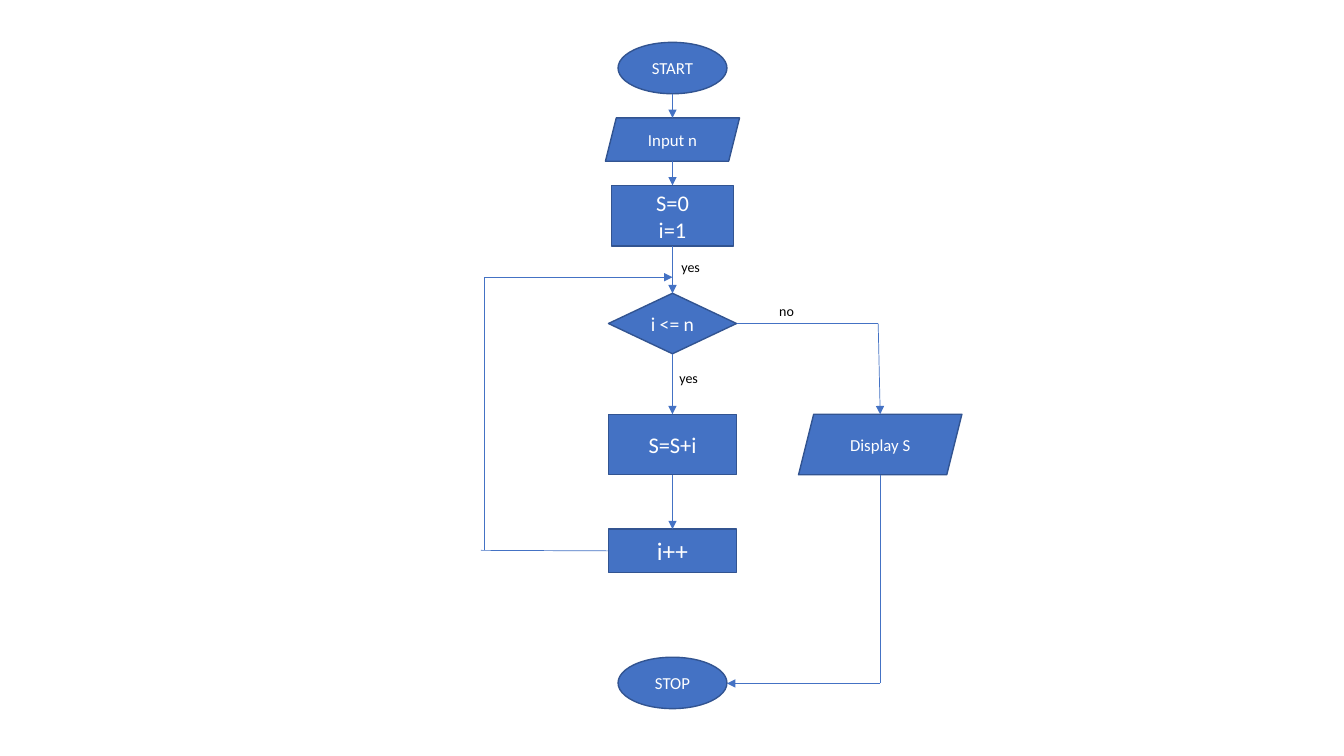
"""Build a flowchart slide that sums the integers from 1 to n."""
from pptx import Presentation
from pptx.dml.color import RGBColor
from pptx.enum import shapes, text
from pptx.oxml import ns, xmlchemy
from pptx.util import Inches, Pt

COLORS = {"fill": "4472C4", "outline": "325491", "light": "FFFFFF", "dark": "000000"}
FONT = "Calibri"
MAIN_X, DISPLAY_X, LOOP_X = 6.67, 8.73, 4.8
LOOP_Y, TEST_Y, COUNT_Y, STOP_Y = 2.75, 3.21, 5.46, 6.78
KIND = shapes.MSO_SHAPE
TOP, LEFT, BOTTOM, RIGHT = range(4)


def color(name):
    return RGBColor.from_string(COLORS[name])


def write(frame, content, size, ink, alignment):
    frame.text = content
    for paragraph in frame.paragraphs:
        paragraph.alignment = alignment
        paragraph.font.name = FONT
        paragraph.font.size = Pt(size)
        paragraph.font.color.rgb = color(ink)


def add_node(slide, kind, content, center_x, top, width, height, size):
    shape = slide.shapes.add_shape(
        kind, Inches(center_x - width / 2), Inches(top), Inches(width), Inches(height))
    shape.shadow.inherit = False
    shape.fill.solid()
    shape.fill.fore_color.rgb = color("fill")
    shape.line.color.rgb = color("outline")
    shape.line.width = Pt(1)
    shape.text_frame.vertical_anchor = text.MSO_ANCHOR.MIDDLE
    write(shape.text_frame, content, size, "light", text.PP_ALIGN.CENTER)
    return shape


def add_label(slide, content, left, top, width):
    frame = slide.shapes.add_textbox(
        Inches(left), Inches(top), Inches(width), Inches(0.27)).text_frame
    frame.word_wrap = False
    frame.auto_size = text.MSO_AUTO_SIZE.SHAPE_TO_FIT_TEXT
    write(frame, content, 10, "dark", text.PP_ALIGN.LEFT)


def add_line(slide, start, end, arrow=True, source=None, target=None):
    connector = slide.shapes.add_connector(
        shapes.MSO_CONNECTOR.STRAIGHT, *(Inches(value) for value in (*start, *end)))
    if source:
        connector.begin_connect(*source)
    if target:
        connector.end_connect(*target)
    connector.line.color.rgb = color("fill")
    connector.line.width = Pt(0.5)
    if arrow:
        tail = xmlchemy.OxmlElement("a:tailEnd")
        tail.set("type", "triangle")
        connector.line._get_or_add_ln().append(tail)
    properties = connector._element.find(ns.qn("p:spPr"))
    properties.append(xmlchemy.OxmlElement("a:effectLst"))


def main():
    presentation = Presentation()
    presentation.slide_width, presentation.slide_height = Inches(13.33), Inches(7.5)
    slide = presentation.slides.add_slide(presentation.slide_layouts[6])

    add_node(slide, KIND.OVAL, "START", MAIN_X, 0.42, 1.08, 0.51, 12)
    add_node(slide, KIND.PARALLELOGRAM, "Input n", MAIN_X, 1.17, 1.33, 0.43, 12)
    setup = add_node(slide, KIND.RECTANGLE, "S=0\ni=1", MAIN_X, 1.84, 1.21, 0.6, 16)
    test = add_node(slide, KIND.DIAMOND, "i <= n", MAIN_X, 2.91, 1.27, 0.6, 14)
    add_up = add_node(slide, KIND.RECTANGLE, "S=S+i", MAIN_X, 4.11, 1.27, 0.6, 16)
    count = add_node(slide, KIND.RECTANGLE, "i++", MAIN_X, 5.25, 1.27, 0.43, 18)
    add_node(slide, KIND.PARALLELOGRAM, "Display S", DISPLAY_X, 4.11, 1.62, 0.6, 12)
    add_node(slide, KIND.OVAL, "STOP", MAIN_X, 6.52, 1.08, 0.51, 12)

    for top, bottom, source, target in (
        (0.93, 1.17, None, None),
        (1.6, 1.84, None, (setup, TOP)),
        (2.44, 2.91, (setup, BOTTOM), (test, TOP)),
        (3.51, 4.11, (test, BOTTOM), (add_up, TOP)),
        (4.71, 5.25, (add_up, BOTTOM), (count, TOP)),
    ):
        add_line(slide, (MAIN_X, top), (MAIN_X, bottom), source=source, target=target)

    add_line(slide, (6.04, COUNT_Y), (4.77, COUNT_Y), arrow=False, source=(count, LEFT))
    add_line(slide, (LOOP_X, COUNT_Y), (LOOP_X, LOOP_Y), arrow=False)
    add_line(slide, (LOOP_X, LOOP_Y), (MAIN_X, LOOP_Y))

    add_line(slide, (7.3, TEST_Y), (8.71, TEST_Y), arrow=False, source=(test, RIGHT))
    add_line(slide, (8.71, TEST_Y), (DISPLAY_X, 4.11))
    add_line(slide, (DISPLAY_X, 4.71), (DISPLAY_X, STOP_Y), arrow=False)
    add_line(slide, (DISPLAY_X, STOP_Y), (7.21, STOP_Y))

    add_label(slide, "yes", 6.66, 2.52, 0.39)
    add_label(slide, "no", 7.63, 2.95, 0.35)
    add_label(slide, "yes", 6.64, 3.62, 0.39)

    presentation.save("out.pptx")


if __name__ == "__main__":
    main()
